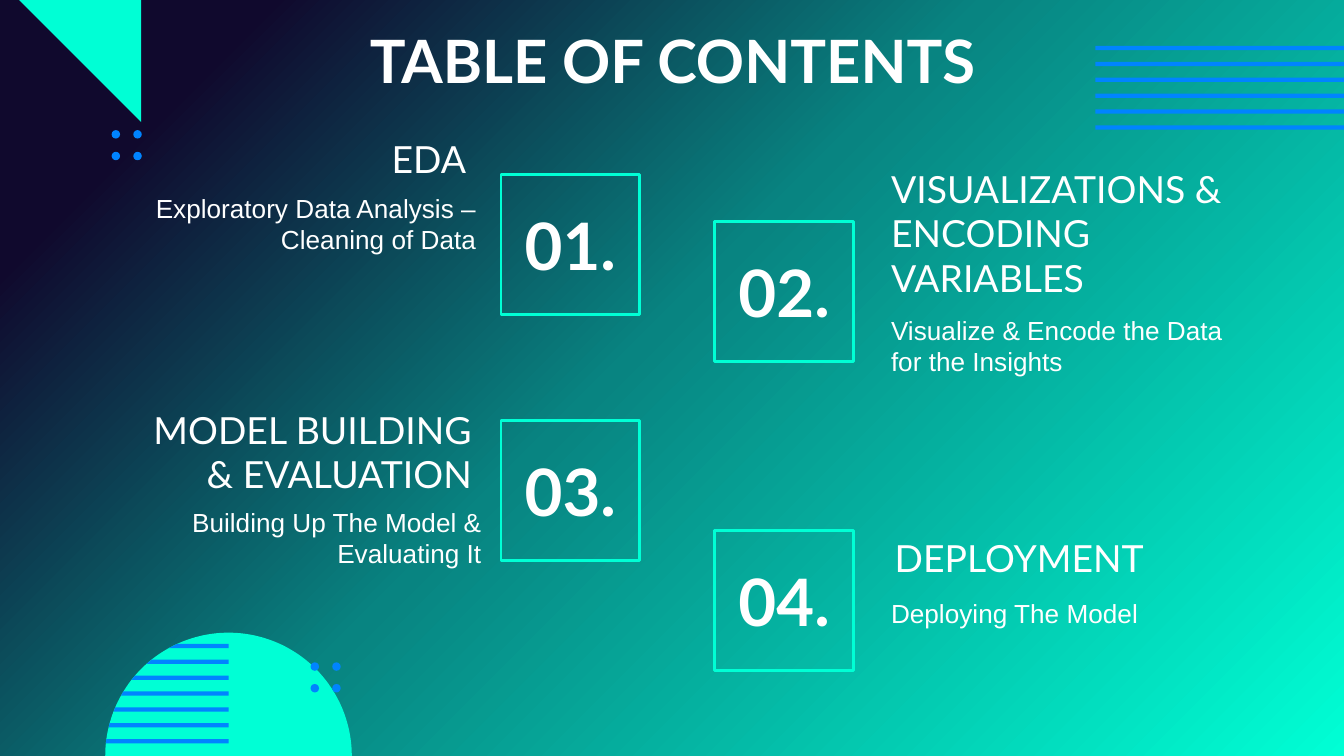
"""Build a table-of-contents slide with four numbered sections."""
from copy import deepcopy
from itertools import product
from math import cos, pi, sin, sqrt

from pptx import Presentation
from pptx.dml.color import RGBColor
from pptx.enum.shapes import MSO_SHAPE as Shape
from pptx.enum.text import MSO_ANCHOR as Anchor, PP_ALIGN as Align
from pptx.util import Cm, Pt

NAVY, TEAL, MINT, BLUE, WHITE = "10092D", "088481", "00FFD5", "0084FF", "FFFFFF"
WIDTH, HEIGHT = 25.4, 14.29
GRADIENT = [(0, NAVY), (0.13, NAVY), (0.47, TEAL), (1, MINT)]
TITLE = ("TABLE OF CONTENTS", (2.01, 0.33, 21.41, 1.6))
SECTIONS = [
    ("01.", (9.47, 3.3), Align.RIGHT,
     "EDA", (1.9, 2.49, 7.16, 1.02),
     "Exploratory Data Analysis – Cleaning of Data", (1.5, 3.38, 7.75, 1.6)),
    ("02.", (13.51, 4.19), Align.LEFT,
     "VISUALIZATIONS & ENCODING VARIABLES", (16.59, 3.07, 7.16, 2.67),
     "Visualize & Encode the Data for the Insights", (16.59, 5.69, 7.16, 1.6)),
    ("03.", (9.47, 7.95), Align.RIGHT,
     "MODEL BUILDING & EVALUATION", (2.03, 7.67, 7.14, 1.73),
     "Building Up The Model & Evaluating It", (1.6, 9.32, 7.75, 1.6)),
    ("04.", (13.51, 10.03), Align.LEFT,
     "DEPLOYMENT", (16.66, 10.03, 7.16, 1.02),
     "Deploying The Model", (16.59, 11.05, 7.16, 1.6)),
]
NUMBER_SIZE = (2.62, 2.64)
TRIANGLE = [(0.36, 0), (2.67, 2.31), (2.67, 0)]
CENTER_X, CENTER_Y, RADIUS = 4.32, HEIGHT, 2.33
STRIPE_GAP, STRIPE_HEIGHT = 0.3, 0.08
DOT_GROUPS, DOT_GAP, DOT_SIZE = [(2.11, 2.46), (5.87, 12.52)], 0.41, 0.16


def color(value):
    return RGBColor.from_string(value)


def paint(shape, fill):
    shape.shadow.inherit = False
    shape.fill.solid()
    shape.fill.fore_color.rgb = color(fill)
    shape.line.fill.background()


def add_preset(page, kind, place, fill):
    paint(page.shapes.add_shape(kind, *map(Cm, place)), fill)


def add_outline(page, points, fill):
    corners = [(Cm(x), Cm(y)) for x, y in points]
    builder = page.shapes.build_freeform(*corners[0])
    builder.add_line_segments(corners[1:], close=True)
    paint(builder.convert_to_shape(), fill)


def write(box, text, size, font="Lato", bold=False, align=Align.CENTER, anchor=Anchor.MIDDLE):
    frame = box.text_frame
    frame.word_wrap = True
    frame.vertical_anchor = anchor
    frame.margin_left = frame.margin_right = frame.margin_top = frame.margin_bottom = Cm(0.25)
    para = frame.paragraphs[0]
    para.alignment = align
    span = para.add_run()
    span.text = text
    span.font.name, span.font.size, span.font.bold = font, Pt(size), bold
    span.font.color.rgb = color(WHITE)


def add_text(page, text, place, size, **style):
    write(page.shapes.add_textbox(*map(Cm, place)), text, size, **style)


def add_number(page, text, corner):
    box = page.shapes.add_shape(Shape.RECTANGLE, *map(Cm, corner + NUMBER_SIZE))
    box.shadow.inherit = False
    box.fill.background()
    box.line.color.rgb = color(MINT)
    box.line.width = Pt(1.5)
    write(box, text, 35, bold=True)


def set_background(page):
    fill = page.background.fill
    fill.gradient()
    fill.gradient_angle = 315
    stops = fill.gradient_stops
    stop_list = stops[0]._gs.getparent()
    for _ in range(len(GRADIENT) - len(stops)):
        stop_list.append(deepcopy(stop_list[0]))
    for stop, (position, value) in zip(fill.gradient_stops, GRADIENT):
        stop.position = position
        stop.color.rgb = color(value)


def arc_left(y):
    return CENTER_X - sqrt(RADIUS ** 2 - (CENTER_Y - y) ** 2)


def add_decoration(page):
    for row in range(6):
        place = (20.7, 0.87 + row * STRIPE_GAP, 6.5, STRIPE_HEIGHT)
        add_preset(page, Shape.RECTANGLE, place, BLUE)
    angles = [pi * step / 90 for step in range(91)]
    dome = [(CENTER_X - RADIUS * cos(a), CENTER_Y - RADIUS * sin(a)) for a in angles]
    add_outline(page, dome, MINT)
    for row in range(7):
        top = 12.17 + row * STRIPE_GAP
        bottom = top + STRIPE_HEIGHT
        stripe = [(arc_left(top), top), (arc_left(bottom), bottom),
                  (CENTER_X, bottom), (CENTER_X, top)]
        add_outline(page, stripe, BLUE)
    add_outline(page, TRIANGLE, MINT)
    for (left, top), column, row in product(DOT_GROUPS, range(2), range(2)):
        place = (left + column * DOT_GAP, top + row * DOT_GAP, DOT_SIZE, DOT_SIZE)
        add_preset(page, Shape.OVAL, place, BLUE)


def main():
    deck = Presentation()
    deck.slide_width, deck.slide_height = Cm(WIDTH), Cm(HEIGHT)
    page = deck.slides.add_slide(deck.slide_layouts[6])
    set_background(page)
    add_decoration(page)
    add_text(page, *TITLE, 32, bold=True)
    for number, corner, align, heading, heading_place, detail, detail_place in SECTIONS:
        add_number(page, number, corner)
        add_text(page, heading, heading_place, 20, align=align)
        add_text(page, detail, detail_place, 14, font="Arial", align=align, anchor=Anchor.TOP)
    deck.save("out.pptx")


if __name__ == "__main__":
    main()
